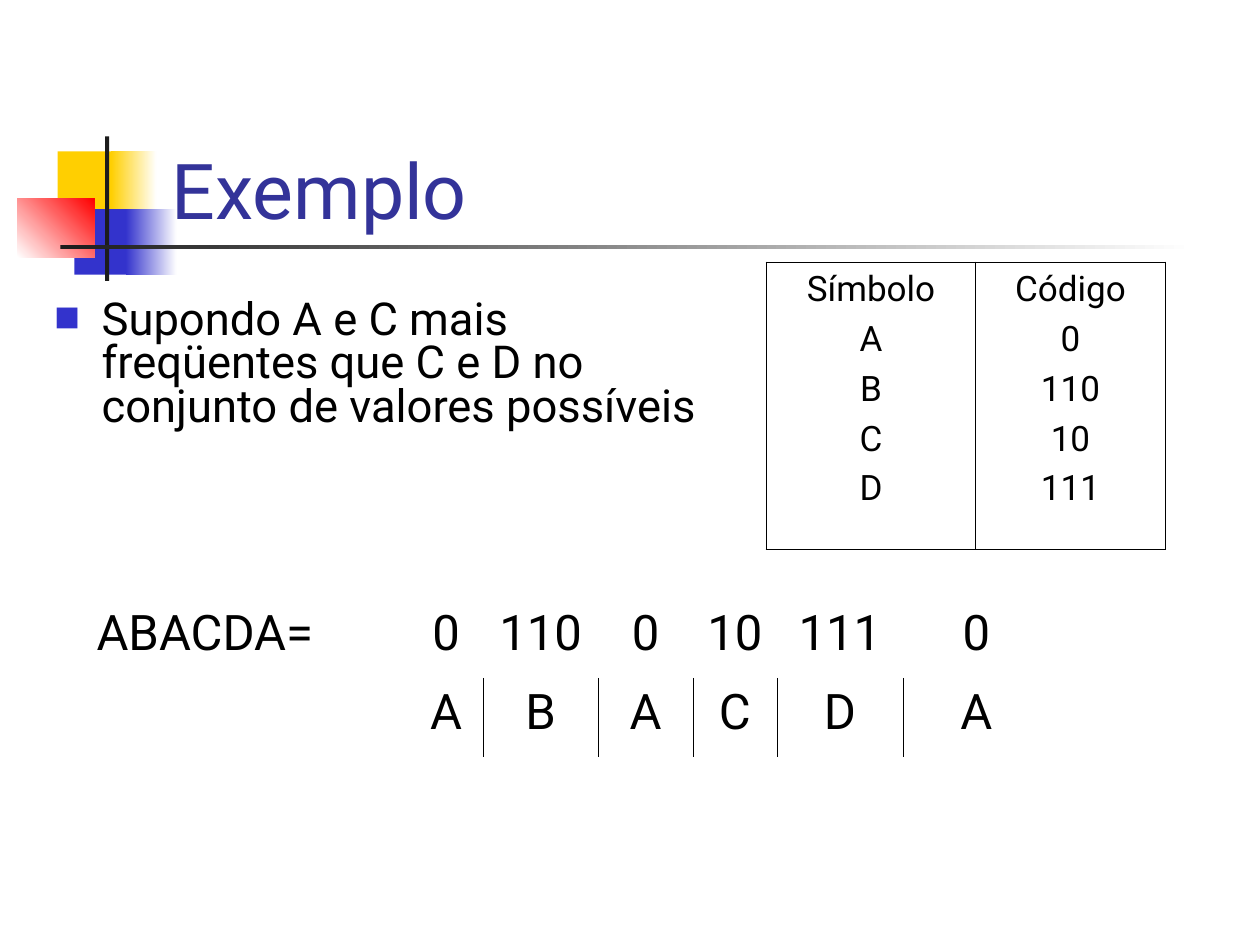
from typing import NamedTuple, Optional

from lxml import etree
from pptx import Presentation
from pptx.dml.color import RGBColor
from pptx.enum import shapes, text
from pptx.oxml import ns
from pptx.util import Pt

FONT = "Roboto"
BLACK, WHITE, YELLOW, BLUE, RED, DARK = "000000", "FFFFFF", "FFCF01", "3333CC", "FF0000", "1C1C1C"
THIN, THICK = 0.45, 1.08


class Block(NamedTuple):
    left: float
    top: float
    width: float
    height: float
    color: str
    end_color: Optional[str] = None
    angle: float = 0


class Borders(NamedTuple):
    """Line widths in points; zero hides the side."""
    left: float = 0
    right: float = 0
    top: float = 0
    bottom: float = 0


DECORATION = [
    Block(33, 86.5, 34.5, 37.5, YELLOW),
    Block(63.5, 86.5, 26, 37.5, YELLOW, WHITE),
    Block(42.5, 119.5, 33, 37.5, BLUE),
    Block(72, 119.5, 29, 37.5, BLUE, WHITE),
    Block(10, 113.5, 44, 33.5, WHITE, RED, 45),
    Block(60, 78, 2.4, 82.5, DARK),
    Block(34.5, 140, 648, 2.5, DARK, WHITE),
]
CODES = {"Símbolo": "Código", "A": "0", "B": "110", "C": "10", "D": "111"}
MESSAGE = "ABACDA"


def rgb(color: str) -> RGBColor:
    return RGBColor.from_string(color)


def add_block(slide, block: Block) -> None:
    shape = slide.shapes.add_shape(
        shapes.MSO_SHAPE.RECTANGLE,
        *map(Pt, (block.left, block.top, block.width, block.height)))
    shape.shadow.inherit = False
    shape.line.fill.background()
    if block.end_color is None:
        shape.fill.solid()
        shape.fill.fore_color.rgb = rgb(block.color)
        return
    shape.fill.gradient()
    shape.fill.gradient_angle = block.angle
    for stop, color in zip(shape.fill.gradient_stops, (block.color, block.end_color)):
        stop.color.rgb = rgb(color)


def write(frame, *lines: str, size: float, color: str = BLACK, align=text.PP_ALIGN.LEFT,
          before: float = 0, line_spacing: float = 1) -> None:
    """Fill a text frame with one paragraph per line."""
    for index, line in enumerate(lines):
        paragraph = frame.add_paragraph() if index else frame.paragraphs[0]
        paragraph.alignment = align
        paragraph.space_before = Pt(before)
        paragraph.line_spacing = line_spacing
        run = paragraph.add_run()
        run.text = line
        run.font.name = FONT
        run.font.size = Pt(size)
        run.font.color.rgb = rgb(color)


def add_text_frame(slide, left: float, top: float, width: float, height: float,
                   anchor=text.MSO_ANCHOR.TOP):
    frame = slide.shapes.add_textbox(*map(Pt, (left, top, width, height))).text_frame
    frame.word_wrap = True
    frame.vertical_anchor = anchor
    return frame


def add_bullet(paragraph, char: str, color: str, percent: int, indent: float) -> None:
    properties = paragraph._p.get_or_add_pPr()
    properties.set("marL", str(Pt(indent)))
    properties.set("indent", str(-Pt(indent)))
    bullet_color = etree.SubElement(properties, ns.qn("a:buClr"))
    etree.SubElement(bullet_color, ns.qn("a:srgbClr"), val=color)
    etree.SubElement(properties, ns.qn("a:buSzPct"), val=str(percent * 1000))
    etree.SubElement(properties, ns.qn("a:buFont"), typeface=FONT)
    etree.SubElement(properties, ns.qn("a:buChar"), char=char)


def add_plain_table(slide, left: float, top: float, columns: list[float], rows: list[float]):
    """Add a table without banding or header style."""
    table = slide.shapes.add_table(
        len(rows), len(columns), *map(Pt, (left, top, sum(columns), sum(rows)))).table
    table.first_row = table.horz_banding = False
    for column, width in zip(table.columns, columns):
        column.width = Pt(width)
    for row, height in zip(table.rows, rows):
        row.height = Pt(height)
    return table


def style_cell(cell, borders: Borders) -> None:
    properties = cell._tc.get_or_add_tcPr()
    for tag, width in zip(("a:lnL", "a:lnR", "a:lnT", "a:lnB"), borders):
        line = etree.SubElement(properties, ns.qn(tag), w=str(Pt(width)))
        if width:
            fill = etree.SubElement(line, ns.qn("a:solidFill"))
            etree.SubElement(fill, ns.qn("a:srgbClr"), val=BLACK)
        else:
            etree.SubElement(line, ns.qn("a:noFill"))
    cell.fill.background()


def add_code_table(slide) -> None:
    table = add_plain_table(slide, 438, 150, [119.5, 108.5], [164])
    columns = (CODES.keys(), CODES.values())
    sides = (Borders(THICK, THIN, THICK, THICK), Borders(THIN, THICK, THICK, THICK))
    for index, (lines, borders) in enumerate(zip(columns, sides)):
        cell = table.cell(0, index)
        write(cell.text_frame, *lines, size=20, align=text.PP_ALIGN.CENTER, before=5)
        style_cell(cell, borders)


def add_message_table(slide) -> None:
    """Show the code of each letter above it, with lines between the letters."""
    table = add_plain_table(slide, 48, 342, [186, 42, 66, 54, 48, 72, 84], [45.4, 45.4])
    table.cell(0, 0).merge(table.cell(1, 0))
    write(table.cell(0, 0).text_frame, MESSAGE + "=", size=28, before=7)
    for row in range(2):
        style_cell(table.cell(row, 0), Borders())
    last = len(MESSAGE)
    for column, letter in enumerate(MESSAGE, start=1):
        dividers = Borders(left=THIN if column > 1 else 0, right=THIN if column < last else 0)
        for row, (line, borders) in enumerate(((CODES[letter], Borders()), (letter, dividers))):
            cell = table.cell(row, column)
            write(cell.text_frame, line, size=28, align=text.PP_ALIGN.CENTER, before=7)
            style_cell(cell, borders)


def main() -> None:
    presentation = Presentation()
    presentation.slide_width, presentation.slide_height = Pt(720), Pt(540)
    slide = presentation.slides.add_slide(presentation.slide_layouts[6])
    for block in DECORATION:
        add_block(slide, block)
    title = add_text_frame(slide, 91, 48, 613, 90, text.MSO_ANCHOR.BOTTOM)
    write(title, "Exemplo", size=44, color="333399")
    body = add_text_frame(slide, 24, 168, 402, 90)
    write(body, "Supondo A e C mais freqüentes que C e D no conjunto de valores possíveis",
          size=25.9, before=7, line_spacing=0.8)
    add_bullet(body.paragraphs[0], "■", BLUE, percent=60, indent=27)
    add_code_table(slide)
    add_message_table(slide)
    presentation.save("out.pptx")


if __name__ == "__main__":
    main()
